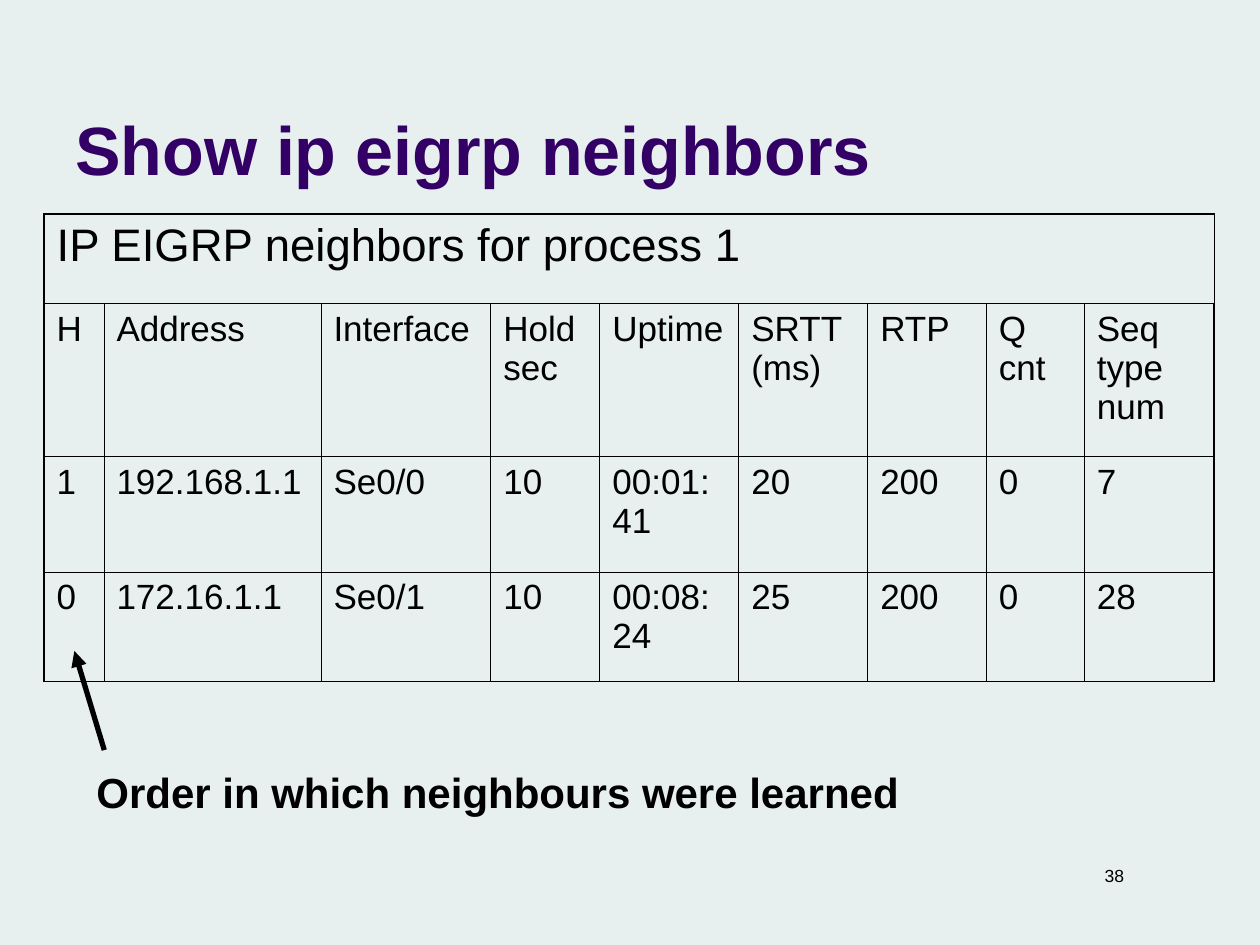
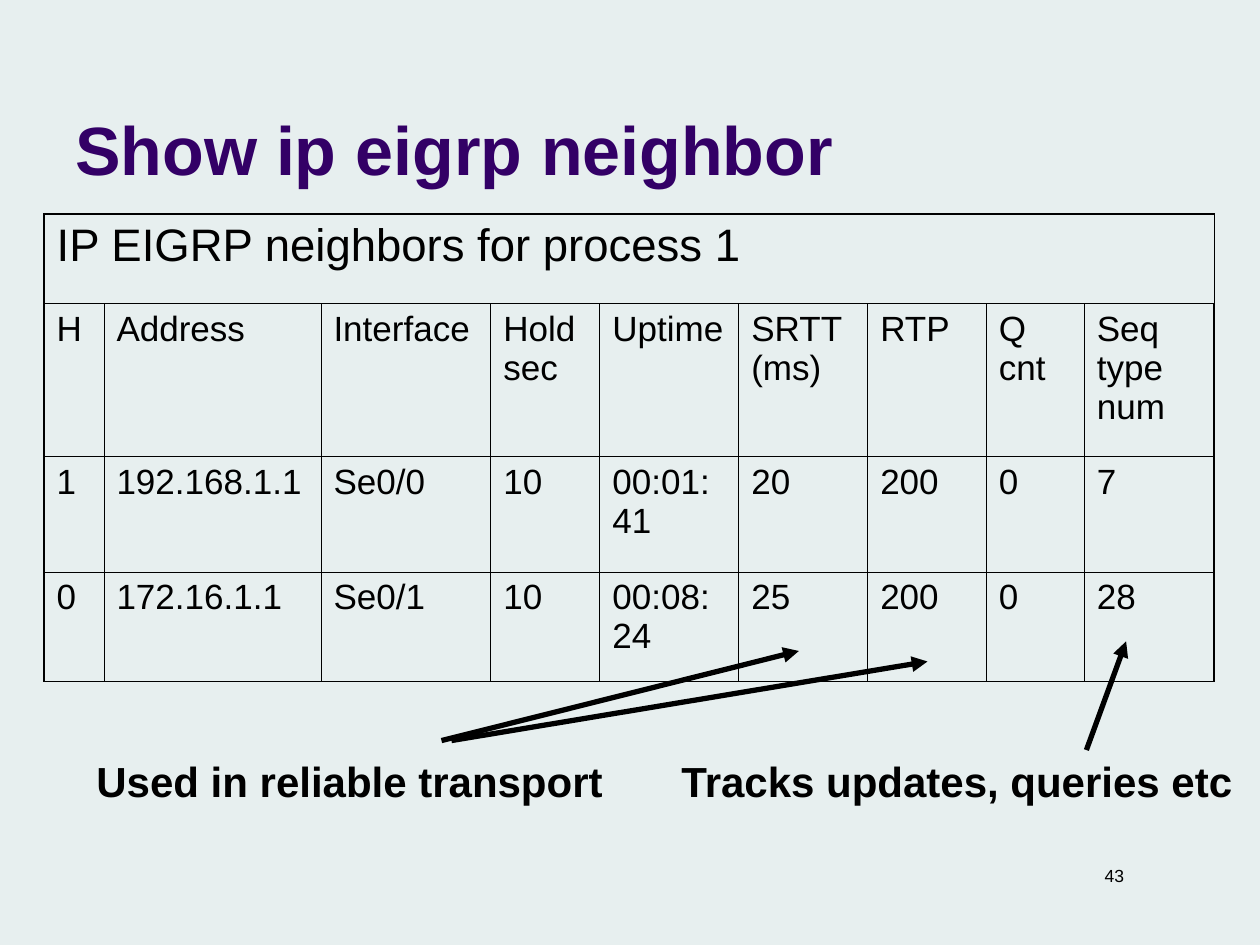
import pptx
import pptx.dml.color
import pptx.enum.shapes
import pptx.enum.text
import pptx.util
from lxml import etree
from pptx.oxml.ns import qn

Pt = pptx.util.Pt
ALIGN = pptx.enum.text.PP_ALIGN
ANCHOR = pptx.enum.text.MSO_ANCHOR

FONT = "Arial"
BACKGROUND = "E7EFEF"
TITLE_COLOUR = "330066"
INK = "000000"

TABLE_LEFT, TABLE_TOP = 25.2, 122.4
COLUMN_WIDTHS = [34.2, 124, 97.1, 62.3, 79.4, 73.7, 67.8, 56, 74.3]
ROW_HEIGHTS = [51, 87.4, 66, 62.6]
OUTER_BORDER, INNER_BORDER = 1.08, 0.45

TABLE_TITLE = "IP EIGRP neighbors for process 1"
NEIGHBOR_ROWS = [
    ["H", "Address", "Interface", "Hold\vsec", "Uptime", "SRTT (ms)", "RTP", "Q cnt", "Seq type num"],
    ["1", "192.168.1.1", "Se0/0", "10", "00:01:41", "20", "200", "0", "7"],
    ["0", "172.16.1.1", "Se0/1", "10", "00:08:24", "25", "200", "0", "28"],
]


def colour(hex_code):
    return pptx.dml.color.RGBColor.from_string(hex_code)


def write(text_frame, text, size, hex_code=INK, bold=False, align=ALIGN.LEFT):
    """Fill a text frame with one evenly formatted paragraph."""
    text_frame.text = text
    para = text_frame.paragraphs[0]
    para.alignment = align
    for span in para.runs:
        span.font.name = FONT
        span.font.size = Pt(size)
        span.font.bold = bold
        span.font.color.rgb = colour(hex_code)


def add_text(page, text, left, top, width, height, size, anchor=ANCHOR.TOP, **style):
    box = page.shapes.add_textbox(Pt(left), Pt(top), Pt(width), Pt(height))
    box.text_frame.word_wrap = True
    box.text_frame.vertical_anchor = anchor
    write(box.text_frame, text, size, **style)


def add_caption(page, text, left, top, width):
    add_text(page, text, left, top, width, 36, 24, bold=True)


def set_border(cell, side, width):
    """Draw one side of a cell; side is L, R, T or B."""
    line = etree.SubElement(cell._tc.get_or_add_tcPr(), qn(f"a:ln{side}"), w=str(Pt(width)))
    fill = etree.SubElement(line, qn("a:solidFill"))
    etree.SubElement(fill, qn("a:srgbClr"), val=INK)


def add_neighbor_table(page):
    row_count, column_count = len(ROW_HEIGHTS), len(COLUMN_WIDTHS)
    frame = page.shapes.add_table(
        row_count, column_count, Pt(TABLE_LEFT), Pt(TABLE_TOP),
        Pt(sum(COLUMN_WIDTHS)), Pt(sum(ROW_HEIGHTS)))
    table = frame.table
    table.first_row = table.horz_banding = False
    for column, width in zip(table.columns, COLUMN_WIDTHS):
        column.width = Pt(width)
    for row, height in zip(table.rows, ROW_HEIGHTS):
        row.height = Pt(height)

    for r in range(row_count):
        for c in range(column_count):
            cell = table.cell(r, c)
            cell.margin_left = cell.margin_right = Pt(7.2)
            cell.margin_top = cell.margin_bottom = Pt(3.6)
            outer_sides = {"L": c == 0, "R": c == column_count - 1,
                           "T": r == 0, "B": r == row_count - 1}
            for side, is_outer in outer_sides.items():
                set_border(cell, side, OUTER_BORDER if is_outer else INNER_BORDER)
            cell.fill.background()
            if r > 0:
                write(cell.text_frame, NEIGHBOR_ROWS[r - 1][c], 20)

    heading = table.cell(0, 0)
    heading.merge(table.cell(0, column_count - 1))
    write(heading.text_frame, TABLE_TITLE, 26)


def add_arrow(page, start, end):
    points = [Pt(value) for value in (*start, *end)]
    arrow = page.shapes.add_connector(pptx.enum.shapes.MSO_CONNECTOR.STRAIGHT, *points)
    arrow.line.color.rgb = colour(INK)
    arrow.line.width = Pt(3)
    etree.SubElement(arrow.line._get_or_add_ln(), qn("a:tailEnd"), type="triangle")
    etree.SubElement(arrow._element.spPr, qn("a:effectLst"))


def add_neighbor_page(deck, title, number):
    """Add a page with the number, title and table that all pages share."""
    page = deck.slides.add_slide(deck.slide_layouts[6])
    add_text(page, number, 501.8, 491, 147.6, 19.4, 10, align=ALIGN.RIGHT)
    add_text(page, title, 36, 9.4, 594, 102.2, 39, anchor=ANCHOR.BOTTOM,
             hex_code=TITLE_COLOUR, bold=True)
    add_neighbor_table(page)
    return page


def main():
    deck = pptx.Presentation()
    deck.slide_width, deck.slide_height = Pt(720), Pt(540)
    background = deck.slide_master.background.fill
    background.solid()
    background.fore_color.rgb = colour(BACKGROUND)

    page = add_neighbor_page(deck, "Show ip eigrp neighbors", "38")
    add_caption(page, "Order in which neighbours were learned", 48, 434.2, 533)
    add_arrow(page, (59.6, 428.6), (42.5, 372))

    page = add_neighbor_page(deck, "Show ip eigrp neighbor", "43")
    add_caption(page, "Used in reliable transport", 48, 428.4, 312)
    add_arrow(page, (252.3, 423.2), (456.5, 372))
    add_caption(page, "Tracks updates, queries etc", 382.3, 428.4, 337.7)
    add_arrow(page, (620.8, 428.6), (643.5, 366.5))
    add_arrow(page, (258, 423.2), (530, 378))

    deck.save("out.pptx")


if __name__ == "__main__":
    main()
